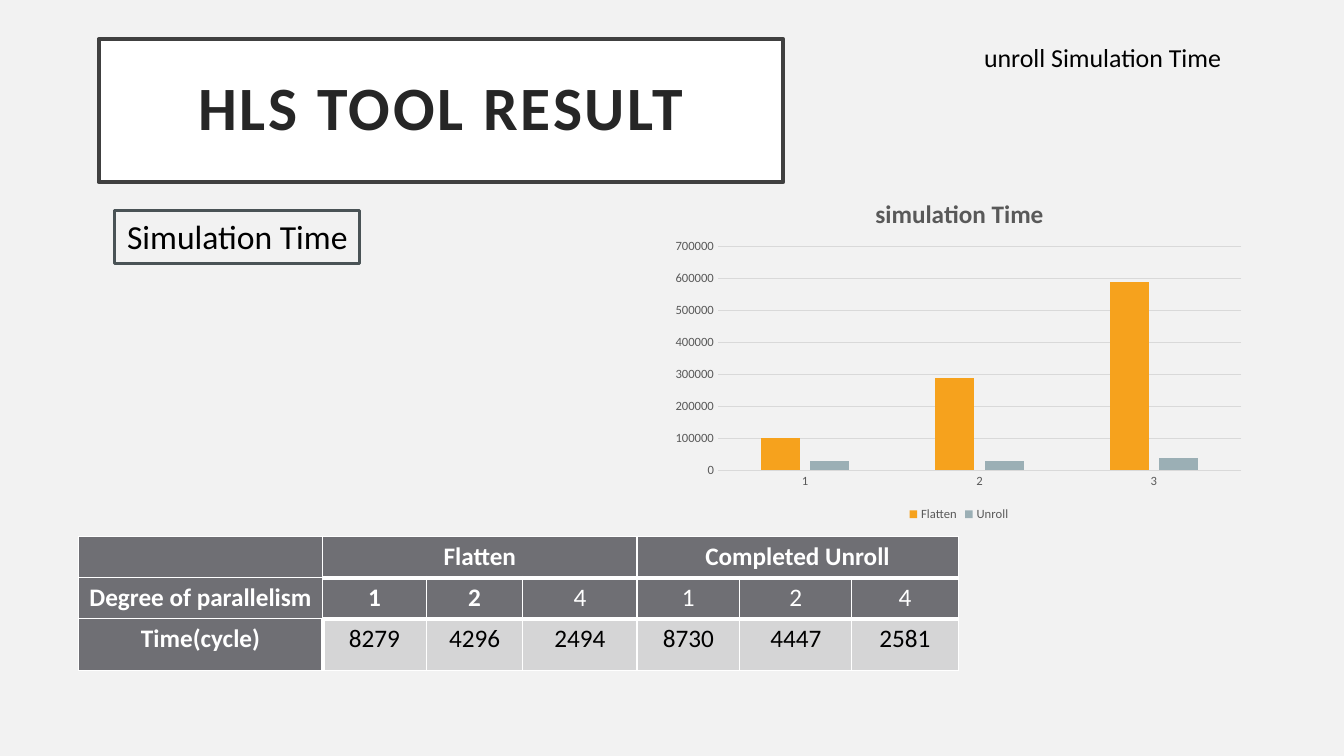
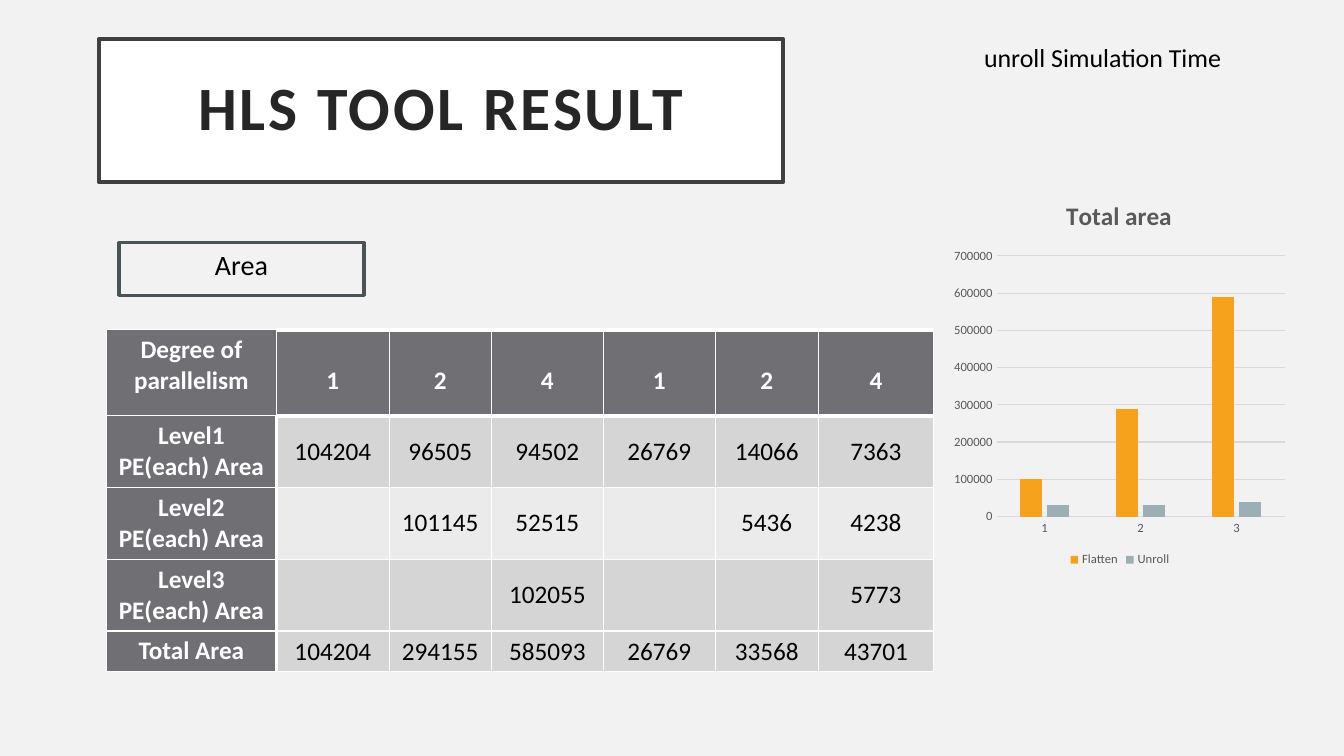
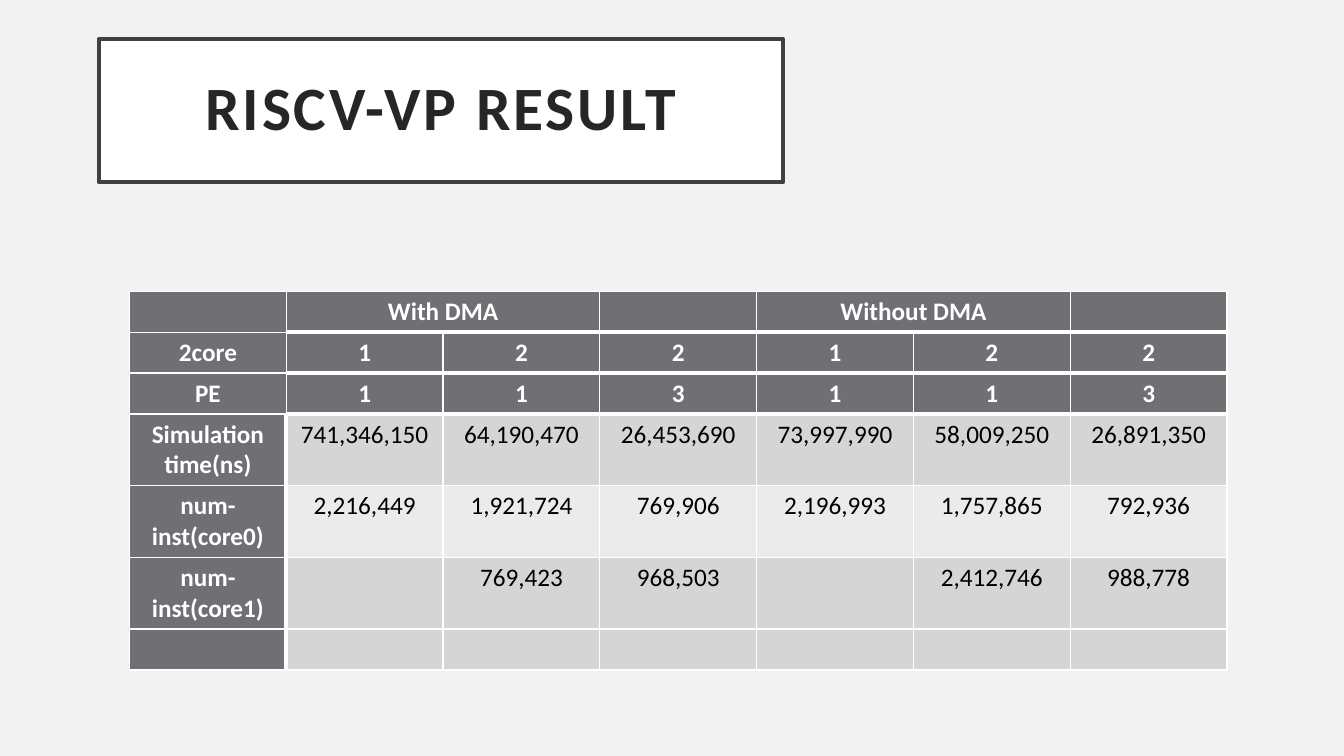
from pptx import Presentation
from pptx.chart.data import CategoryChartData
from pptx.dml.color import RGBColor
from pptx.enum.chart import XL_CHART_TYPE as ChartType
from pptx.enum.chart import XL_LEGEND_POSITION as LegendPos
from pptx.enum.chart import XL_TICK_MARK as Tick
from pptx.enum.text import MSO_ANCHOR as Anchor
from pptx.enum.text import MSO_AUTO_SIZE as AutoSize
from pptx.enum.text import PP_ALIGN as Align
from pptx.oxml.ns import qn
from pptx.util import Pt
from lxml.etree import SubElement

FONT = "Calibri"
WHITE = RGBColor(0xFF, 0xFF, 0xFF)
BLACK = RGBColor(0x00, 0x00, 0x00)
BACKGROUND = RGBColor(0xF2, 0xF2, 0xF2)
TITLE_TEXT = RGBColor(0x26, 0x26, 0x26)
TITLE_LINE = RGBColor(0x40, 0x40, 0x40)
LABEL_LINE = RGBColor(0x4A, 0x53, 0x56)
HEADER = RGBColor(0x6F, 0x6F, 0x74)
BAND_DARK = RGBColor(0xD5, 0xD5, 0xD6)
BAND_LIGHT = RGBColor(0xEB, 0xEB, 0xEB)
CHART_TEXT = RGBColor(0x59, 0x59, 0x59)
GRID = RGBColor(0xD9, 0xD9, 0xD9)
ORANGE = RGBColor(0xF6, 0xA2, 0x1D)
GREY_BLUE = RGBColor(0x9B, 0xAF, 0xB5)

SYNTHESIS_TITLE = "HLS TOOL RESULT"
TITLE_BOX = (70.5, 28, 489, 102)
NOTE_BOX = (685.5, 30.5, 204, 27)
THIN, THICK = 1, 3
ONE_LINE, TWO_LINES = 29.25, 51.25


def place(shape, box):
    """Move and size a shape to a box in points."""
    shape.left, shape.top, shape.width, shape.height = map(Pt, box)


def style(font, size, color, bold=False):
    """Set the shared typeface with a size, colour and weight."""
    font.name, font.size, font.bold = FONT, Pt(size), bold
    font.color.rgb = color


def write(tf, text, size, color, bold=False):
    """Fill a text frame with one centred paragraph and return it."""
    p = tf.paragraphs[0]
    p.text = text
    p.alignment = Align.CENTER
    style(p.font, size, color, bold)
    return p


def outline(shape, color, width):
    """Draw a plain border round a shape."""
    shape.line.color.rgb = color
    shape.line.width = Pt(width)


def add_slide(prs, title, label=None, label_box=None, label_size=20):
    """Add a slide with its framed title and an optional framed label."""
    s = prs.slides.add_slide(prs.slide_layouts[0])
    heading, subtitle = s.placeholders
    place(heading, TITLE_BOX)
    heading.fill.solid()
    heading.fill.fore_color.rgb = WHITE
    outline(heading, TITLE_LINE, 3)
    tf = heading.text_frame
    tf.auto_size, tf.vertical_anchor = AutoSize.NONE, Anchor.MIDDLE
    tf.margin_left = tf.margin_right = Pt(21.6)
    tf.margin_top = tf.margin_bottom = Pt(14.4)
    p = write(tf, title, 44, TITLE_TEXT, True)
    p.line_spacing = 0.9
    p.runs[0]._r.get_or_add_rPr().set("spc", "200")

    if label is None:
        subtitle._element.getparent().remove(subtitle._element)
        return s
    place(subtitle, label_box)
    outline(subtitle, LABEL_LINE, 2.25)
    tf = subtitle.text_frame
    tf.auto_size, tf.vertical_anchor = AutoSize.NONE, Anchor.TOP
    write(tf, label, label_size, BLACK).space_before = Pt(10)
    return s


def add_note(s, box, text):
    """Add the small caption in the top right corner."""
    tf = s.shapes.add_textbox(*map(Pt, box)).text_frame
    tf.word_wrap = True
    p = write(tf, text, 18.5, BLACK)
    p.line_spacing, p.space_before = 0.8, Pt(10)


def set_borders(cell, left, right, top, bottom):
    """Draw the white borders of a cell, widths in points."""
    tc_pr = cell._tc.get_or_add_tcPr()
    for side, width in zip("LRTB", (left, right, top, bottom)):
        ln = SubElement(tc_pr, qn(f"a:ln{side}"), w=str(Pt(width)))
        fill = SubElement(ln, qn("a:solidFill"))
        SubElement(fill, qn("a:srgbClr"), val=str(WHITE))


def add_result_table(s, origin, cols, heights, rows, headers, merges=(),
                     plain=(), light=(), top_rule=False,
                     anchor=Anchor.TOP, header_drop=0):
    """Add a table with dark header rows and a dark label column."""
    box = (*origin, sum(cols), sum(heights))
    frame = s.shapes.add_table(len(rows), len(cols), *map(Pt, box))
    table = frame.table
    table.first_row = table.horz_banding = False
    for column, width in zip(table.columns, cols):
        column.width = Pt(width)
    for row, height in zip(table.rows, heights):
        row.height = Pt(height)

    for i, texts in enumerate(rows):
        for j, text in enumerate(texts):
            cell = table.cell(i, j)
            in_header, is_label = i < headers, j == 0
            dark = in_header or is_label
            ruled_top = not is_label and (0 < i <= headers or i == 0 and top_rule)
            set_borders(
                cell,
                left=THICK if not in_header and j == 1 else THIN,
                right=THICK if not in_header and is_label else THIN,
                top=THICK if ruled_top else THIN,
                bottom=THICK if in_header and not is_label else THIN)
            cell.fill.solid()
            cell.fill.fore_color.rgb = (
                HEADER if dark else BAND_LIGHT if i in light else BAND_DARK)
            cell.vertical_anchor = Anchor.TOP if dark else anchor
            if in_header and not is_label:
                cell.margin_top = Pt(3.6 + header_drop)
            write(cell.text_frame, text, 18, WHITE if dark else BLACK,
                  dark and (i, j) not in plain)

    for i, j, span in merges:
        table.cell(i, j).merge(table.cell(i, j + span - 1))


def set_layout(parent, index, **fractions):
    """Give a chart part a manual layout in fractions of the chart."""
    for old in parent.findall(qn("c:layout")):
        parent.remove(old)
    layout = SubElement(parent, qn("c:layout"))
    parent.insert(index, layout)
    manual = SubElement(layout, qn("c:manualLayout"))
    if "w" in fractions:
        SubElement(manual, qn("c:layoutTarget"), val="inner")
    for axis in "xy":
        SubElement(manual, qn(f"c:{axis}Mode"), val="edge")
    for key, value in fractions.items():
        SubElement(manual, qn(f"c:{key}"), val=str(value))


def add_column_chart(s, box, title, title_x, plot):
    """Add the Flatten and Unroll column chart."""
    data = CategoryChartData()
    data.categories = ["1", "2", "3"]
    data.add_series("Flatten", (100000, 290000, 590000))
    data.add_series("Unroll", (30000, 30000, 40000))
    chart = s.shapes.add_chart(
        ChartType.COLUMN_CLUSTERED, *map(Pt, box), data).chart
    style(chart.font, 10, BLACK)

    chart.has_title = True
    write(chart.chart_title.text_frame, title, 18, CHART_TEXT, True)
    set_layout(chart.chart_title._element, 1, x=title_x, y=0.03)
    set_layout(chart._chartSpace.chart.plotArea, 0, **plot)

    bars = chart.plots[0]
    bars.gap_width, bars.overlap, bars.vary_by_categories = 219, -27, False
    for series, color in zip(bars.series, (ORANGE, GREY_BLUE)):
        series.format.fill.solid()
        series.format.fill.fore_color.rgb = color

    categories, values = chart.category_axis, chart.value_axis
    for axis in (categories, values):
        axis.major_tick_mark = axis.minor_tick_mark = Tick.NONE
        style(axis.tick_labels.font, 9, CHART_TEXT)
    values.minimum_scale, values.maximum_scale = 0, 700000
    values.major_unit = 100000
    values.format.line.fill.background()
    for line in (categories.format.line, values.major_gridlines.format.line):
        line.color.rgb, line.width = GRID, Pt(0.75)

    chart.has_legend = True
    chart.legend.position = LegendPos.BOTTOM
    chart.legend.include_in_layout = False
    style(chart.legend.font, 9, CHART_TEXT)


def build_time_slide(prs):
    """Simulation time in cycles, as a table and a chart."""
    s = add_slide(prs, SYNTHESIS_TITLE, "Simulation Time",
                  (82, 150.5, 175, 37.5), 24)
    add_note(s, NOTE_BOX, "unroll Simulation Time")
    add_result_table(
        s, (56, 383.5), (174.5, 74, 69, 81.5, 73.5, 80, 76),
        (ONE_LINE, ONE_LINE, 37.25),
        [("", "Flatten", "", "", "Completed Unroll", "", ""),
         ("Degree of parallelism", "1", "2", "4", "1", "2", "4"),
         ("Time(cycle)", "8279", "4296", "2494", "8730", "4447", "2581")],
        headers=2, merges=[(0, 1, 3), (0, 4, 3)],
        plain=[(1, j) for j in range(3, 7)])
    add_column_chart(s, (475, 129.5, 420, 246), "simulation Time", 0.35,
                     dict(x=0.09, y=0.19, w=0.89, h=0.65))


def build_area_slide(prs):
    """Area per level and in total, as a table and a chart."""
    s = add_slide(prs, SYNTHESIS_TITLE, "Area", (85, 173.5, 175, 37.5))
    add_note(s, NOTE_BOX, "unroll Simulation Time")
    add_result_table(
        s, (76, 235.5), (121.5, 80.5, 73, 80, 80, 73.5, 82.5),
        (61.5, *[TWO_LINES] * 3, ONE_LINE),
        [("Degree of parallelism", "1", "2", "4", "1", "2", "4"),
         ("Level1 PE(each) Area",
          "104204", "96505", "94502", "26769", "14066", "7363"),
         ("Level2 PE(each) Area", "", "101145", "52515", "", "5436", "4238"),
         ("Level3 PE(each) Area", "", "", "102055", "", "", "5773"),
         ("Total Area",
          "104204", "294155", "585093", "26769", "33568", "43701")],
        headers=1, light=[2], top_rule=True, anchor=Anchor.MIDDLE,
        header_drop=22)
    add_column_chart(s, (677.5, 130, 245, 278), "Total area", 0.33,
                     dict(x=0.14, y=0.19, w=0.84, h=0.67))


def build_riscv_slide(prs):
    """Simulation time and instruction counts with and without DMA."""
    s = add_slide(prs, "RISCV-VP RESULT")
    add_result_table(
        s, (92.5, 208), [112] * 7,
        (*[ONE_LINE] * 3, *[TWO_LINES] * 3, ONE_LINE),
        [("", "With DMA", "", "", "Without DMA", "", ""),
         ("2core", "1", "2", "2", "1", "2", "2"),
         ("PE", "1", "1", "3", "1", "1", "3"),
         ("Simulation time(ns)", "741,346,150", "64,190,470", "26,453,690",
          "73,997,990", "58,009,250", "26,891,350"),
         ("num-inst(core0)", "2,216,449", "1,921,724", "769,906",
          "2,196,993", "1,757,865", "792,936"),
         ("num-inst(core1)", "", "769,423", "968,503",
          "", "2,412,746", "988,778"),
         [""] * 7],
        headers=3, merges=[(0, 1, 2), (0, 4, 2)], light=[4])


prs = Presentation()
prs.slide_width, prs.slide_height = Pt(960), Pt(540)
fill = prs.slide_master.background.fill
fill.solid()
fill.fore_color.rgb = BACKGROUND
build_time_slide(prs)
build_area_slide(prs)
build_riscv_slide(prs)
prs.save("out.pptx")
